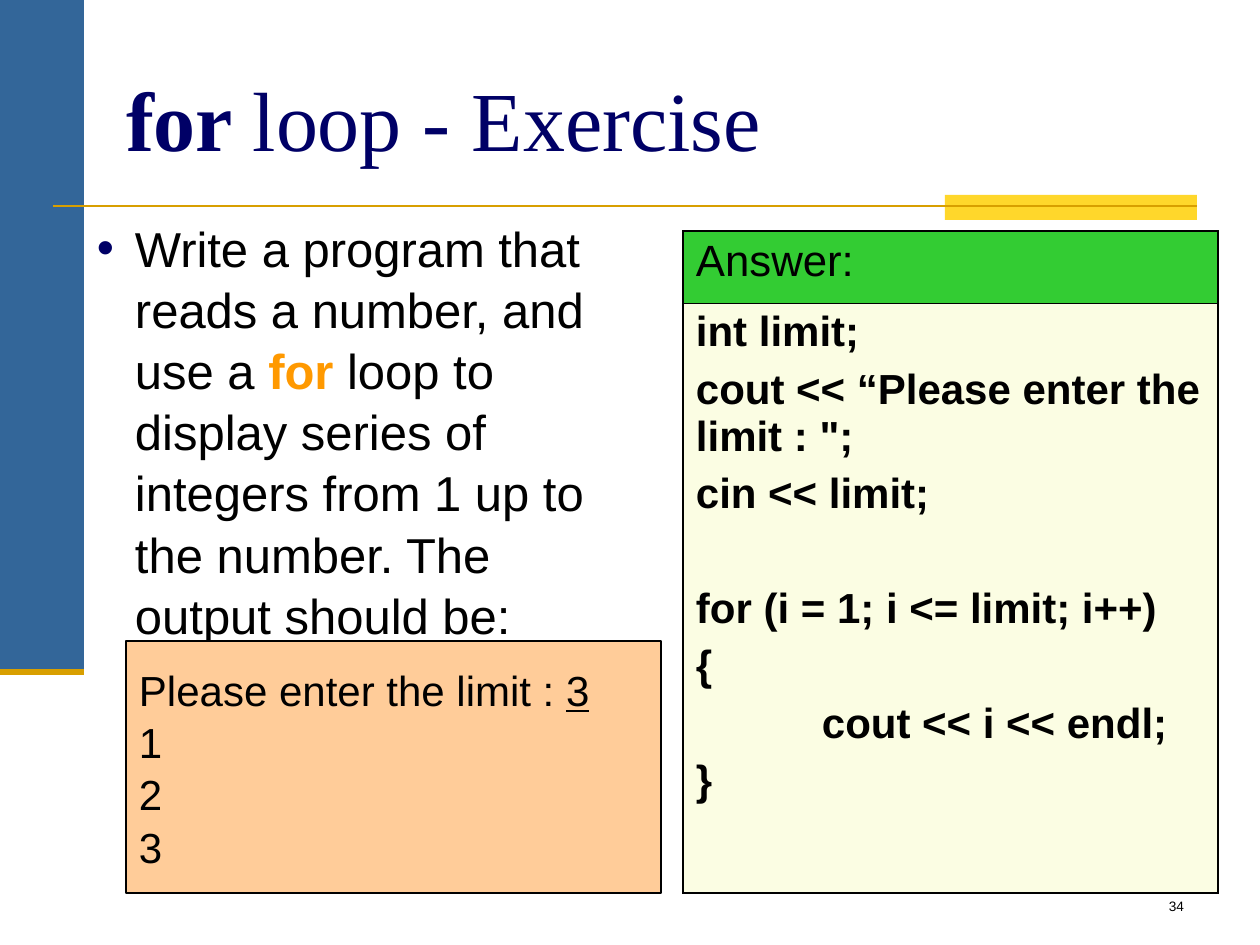
from lxml.etree import SubElement
from pptx import Presentation
from pptx.dml.color import RGBColor
from pptx.enum.shapes import MSO_CONNECTOR as Line, MSO_SHAPE as Shape
from pptx.enum.text import MSO_ANCHOR as Anchor, MSO_AUTO_SIZE as AutoSize, PP_ALIGN as Align
from pptx.oxml import parse_xml
from pptx.oxml.ns import nsdecls, qn
from pptx.util import Pt

PX = 7257  # EMU in one px, at 126 px to the inch
BLACK, NAVY, GOLD = "000000", "000066", "D89F00"
color = RGBColor.from_string


def add_span(para, text, size, ink=BLACK, bold=False, face="Arial"):
    span = para.add_run()
    span.text = text
    span.font.size = Pt(size)
    span.font.name = face
    span.font.bold = bold
    span.font.color.rgb = color(ink)
    return span


def set_frame(frame, anchor, left=13, top=6, right=13, bottom=6, wrap=True):
    frame.auto_size = AutoSize.NONE
    frame.word_wrap = wrap
    frame.vertical_anchor = anchor
    frame.margin_left, frame.margin_top = left * PX, top * PX
    frame.margin_right, frame.margin_bottom = right * PX, bottom * PX


deck = Presentation()
deck.slide_width, deck.slide_height = 1260 * PX, 945 * PX
page = deck.slides.add_slide(deck.slide_layouts[1])
shapes = page.shapes
title, body = page.placeholders

# Side band, accent bar and the output box
blocks = []
for x, y, width, height, fill in [
    (0, 0, 84, 672, "336699"),
    (945, 195, 252, 25, "FFD72B"),
    (126, 641, 535, 252, "FFCC99"),
]:
    block = shapes.add_shape(Shape.RECTANGLE, x * PX, y * PX, width * PX, height * PX)
    block.shadow.inherit = False
    block.fill.solid()
    block.fill.fore_color.rgb = color(fill)
    block.line.fill.background()
    blocks.append(block)

# Gold rules
for x1, x2, y, weight in [(53, 1197, 206, 1.5), (0, 84, 672, 3.5)]:
    rule = shapes.add_connector(Line.STRAIGHT, x1 * PX, y * PX, x2 * PX, y * PX)
    rule.line.color.rgb = color(GOLD)
    rule.line.width = Pt(weight)
    SubElement(rule._element.spPr, qn("a:effectLst"))

# Title
title.left, title.top, title.width, title.height = 126 * PX, 38 * PX, 1071 * PX, 130 * PX
set_frame(title.text_frame, Anchor.BOTTOM, left=0, right=0, bottom=0)
para = title.text_frame.paragraphs[0]
para.alignment = Align.LEFT
add_span(para, "for ", 48, NAVY, True, "Times New Roman")
add_span(para, "loop - Exercise", 48, NAVY, False, "Times New Roman")

# Task
body.left, body.top, body.width, body.height = 84 * PX, 210 * PX, 535 * PX, 431 * PX
set_frame(body.text_frame, Anchor.TOP)
para = body.text_frame.paragraphs[0]
para.space_before = Pt(7)
para.line_spacing = 1.04
add_span(para, "Write a program that reads a number, and use a ", 28)
add_span(para, "for", 28, "FF9900", True)
add_span(para, " loop to display series of integers from 1 up to the number. "
               "The output should be:", 28)
props = para._p.get_or_add_pPr()
props.set("marL", str(38 * PX))
props.set("indent", str(-38 * PX))
bullet_color = SubElement(props, qn("a:buClr"))
SubElement(bullet_color, qn("a:srgbClr"), val=NAVY)
SubElement(props, qn("a:buChar"), char="•")

# Expected output
output = blocks[-1]
output.line.color.rgb = color(BLACK)
output.line.width = Pt(0.75)
frame = output.text_frame
set_frame(frame, Anchor.MIDDLE, wrap=False)
for index, text in enumerate(["Please enter the limit : ", "1", "2", "3"]):
    para = frame.add_paragraph() if index else frame.paragraphs[0]
    para.alignment = Align.LEFT
    para.line_spacing = 1.04
    add_span(para, text, 24)
add_span(frame.paragraphs[0], "3", 24).font.underline = True

# Answer table: text, size, bold, space before, indent in px
answer = [
    ("33CC33", 72, [("Answer:", 25, False, 6.2, 0)]),
    ("FBFDE3", 590, [
        ("int limit;", 24, True, 6, 0),
        ("cout << “Please enter the limit : \";", 24, True, 6, 0),
        ("cin << limit;", 24, True, 6, 0),
        ("for (i = 1; i <= limit; i++)", 24, True, 39, 0),
        ("{", 24, True, 6, 0),
        ("cout << i << endl;", 24, True, 6, 126),
        ("}", 24, True, 6, 0),
    ]),
]
table = shapes.add_table(2, 1, 683 * PX, 231 * PX, 535 * PX, 662 * PX).table
table.first_row = table.horz_banding = False
for row, (fill, height, lines) in enumerate(answer):
    table.rows[row].height = height * PX
    cell = table.cell(row, 0)
    cell.margin_left = cell.margin_right = 13 * PX
    cell.margin_top = cell.margin_bottom = 6 * PX
    for index, (text, size, bold, before, indent) in enumerate(lines):
        para = cell.text_frame.add_paragraph() if index else cell.text_frame.paragraphs[0]
        para.space_before = Pt(before)
        para._p.get_or_add_pPr().set("marL", str(indent * PX))
        add_span(para, text, size, bold=bold)
    cell_props = cell._tc.get_or_add_tcPr()
    inner_side = "B" if row == 0 else "T"
    for side in "LRTB":
        weight = Pt(0.45 if side == inner_side else 1.08)
        cell_props.append(parse_xml(
            f'<a:ln{side} {nsdecls("a")} w="{weight}"><a:solidFill>'
            f'<a:srgbClr val="{BLACK}"/></a:solidFill></a:ln{side}>'))
    cell.fill.solid()
    cell.fill.fore_color.rgb = color(fill)

# Page number
box = shapes.add_textbox(935 * PX, 892 * PX, 262 * PX, 32 * PX)
set_frame(box.text_frame, Anchor.TOP)
para = box.text_frame.paragraphs[0]
para.alignment = Align.RIGHT
add_span(para, "34", 7.8)

deck.save("out.pptx")
